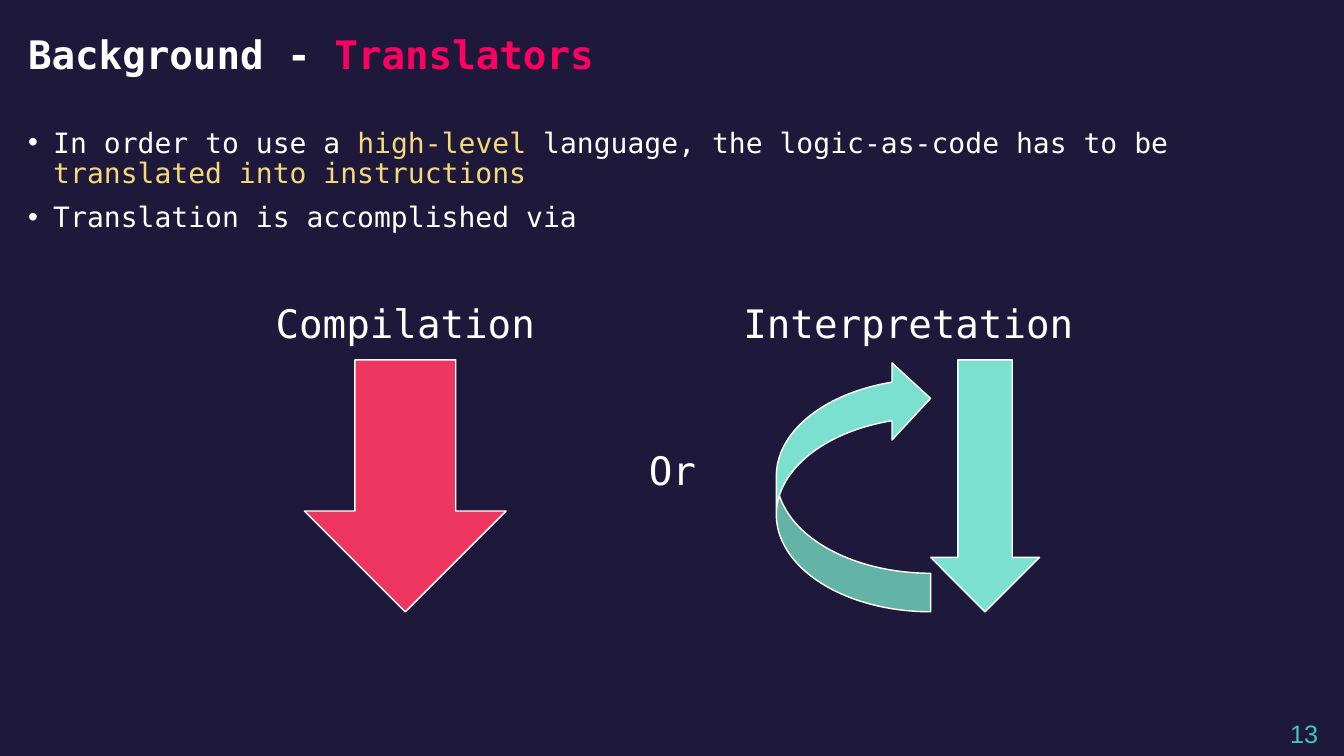
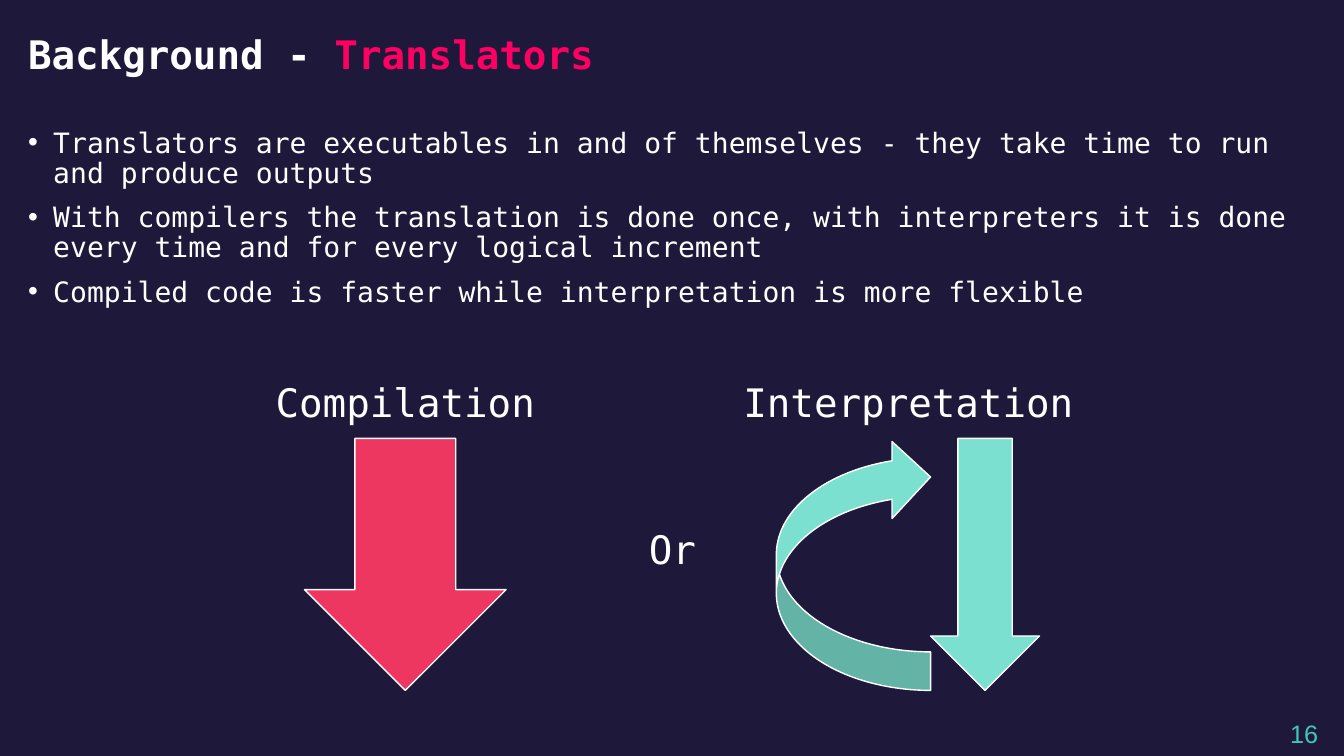
from lxml.etree import SubElement
from pptx import Presentation
from pptx.dml.color import RGBColor
from pptx.enum.shapes import MSO_SHAPE
from pptx.enum.text import MSO_ANCHOR, PP_ALIGN
from pptx.oxml.ns import qn
from pptx.util import Inches, Pt

NAVY = RGBColor(0x1E, 0x19, 0x3B)
WHITE = RGBColor(0xFF, 0xFF, 0xFF)
PINK = RGBColor(0xFD, 0x00, 0x62)
YELLOW = RGBColor(0xF5, 0xDA, 0x7B)
RED = RGBColor(0xED, 0x37, 0x61)
MINT = RGBColor(0x7C, 0xE0, 0xD1)
TEAL = RGBColor(0x40, 0xC7, 0xB7)
MONO = "DejaVu Sans Mono"

# Page number, top of the diagram, bullets as lists of (text, colour) runs
SLIDES = [
    ("13", 2.92, [
        [("In order to use a ", WHITE), ("high-level", YELLOW),
         (" language, the logic-as-code has to be ", WHITE),
         ("translated into instructions", YELLOW)],
        [("Translation is accomplished via", WHITE)],
    ]),
    ("16", 3.7, [
        [("Translators are executables in and of themselves - they take time "
          "to run and produce outputs", WHITE)],
        [("With compilers the translation is done once, with interpreters it "
          "is done every time and for every logical increment", WHITE)],
        [("Compiled code is faster while interpretation is more flexible", WHITE)],
    ]),
]


def add_text(shapes, box, paragraphs, size, font=MONO, bold=False,
             align=PP_ALIGN.CENTER, anchor=MSO_ANCHOR.TOP, spacing=1.0):
    """Add a text box; each paragraph is a list of (text, colour) runs."""
    tf = shapes.add_textbox(*map(Inches, box)).text_frame
    tf.word_wrap = True
    tf.vertical_anchor = anchor
    for i, runs in enumerate(paragraphs):
        p = tf.paragraphs[0] if i == 0 else tf.add_paragraph()
        p.alignment = align
        p.line_spacing = spacing
        for text, color in runs:
            r = p.add_run()
            r.text = text
            r.font.name = font
            r.font.size = Pt(size)
            r.font.bold = bold
            r.font.color.rgb = color
    return tf


def add_arrow(shapes, kind, box, color):
    sp = shapes.add_shape(kind, *map(Inches, box))
    sp.shadow.inherit = False
    sp.fill.solid()
    sp.fill.fore_color.rgb = color
    sp.line.color.rgb = WHITE
    sp.line.width = Pt(1)
    return sp


prs = Presentation()
prs.slide_width = Inches(13.33)
prs.slide_height = Inches(7.5)

for number, top, bullets in SLIDES:
    s = prs.slides.add_slide(prs.slide_layouts[6])
    s.background.fill.solid()
    s.background.fill.fore_color.rgb = NAVY

    add_text(s.shapes, (12.53, 7.08, 0.81, 0.4), [[(number, TEAL)]], 18,
             font="Arial", anchor=MSO_ANCHOR.MIDDLE)
    add_text(s.shapes, (0.18, 0.19, 12.97, 0.75),
             [[("Background - ", WHITE), ("Translators", PINK)]], 28, bold=True,
             align=PP_ALIGN.LEFT, anchor=MSO_ANCHOR.MIDDLE, spacing=0.9)

    body = add_text(s.shapes, (0.18, 1.23, 12.97, top - 1.6), bullets, 20,
                    align=PP_ALIGN.LEFT, spacing=0.9)
    for p in body.paragraphs:
        p.space_before = Pt(10)
        pPr = p._p.get_or_add_pPr()
        pPr.set("marL", str(Inches(0.25)))
        pPr.set("indent", str(Inches(-0.25)))
        SubElement(pPr, qn("a:buFont")).set("typeface", "Arial")
        SubElement(pPr, qn("a:buChar")).set("char", "•")

    arrow_top = top + 0.65
    compilation = s.shapes.add_group_shape().shapes
    add_arrow(compilation, MSO_SHAPE.DOWN_ARROW, (3.02, arrow_top, 2, 2.5), RED)
    add_text(compilation, (2.27, top, 3.5, 0.57), [[("Compilation", WHITE)]], 28)

    interpretation = s.shapes.add_group_shape().shapes
    loop = add_arrow(interpretation, MSO_SHAPE.CURVED_RIGHT_ARROW,
                     (7.7, arrow_top, 1.53, 2.5), MINT)
    loop._element.spPr.find(qn("a:xfrm")).set("flipV", "1")
    add_arrow(interpretation, MSO_SHAPE.DOWN_ARROW, (9.23, arrow_top, 1.08, 2.5), MINT)
    add_text(interpretation, (7.26, top, 3.5, 0.57), [[("Interpretation", WHITE)]], 28)

    add_text(s.shapes, (4.92, top + 1.46, 3.5, 0.57), [[("Or", WHITE)]], 28)

prs.save("out.pptx")
